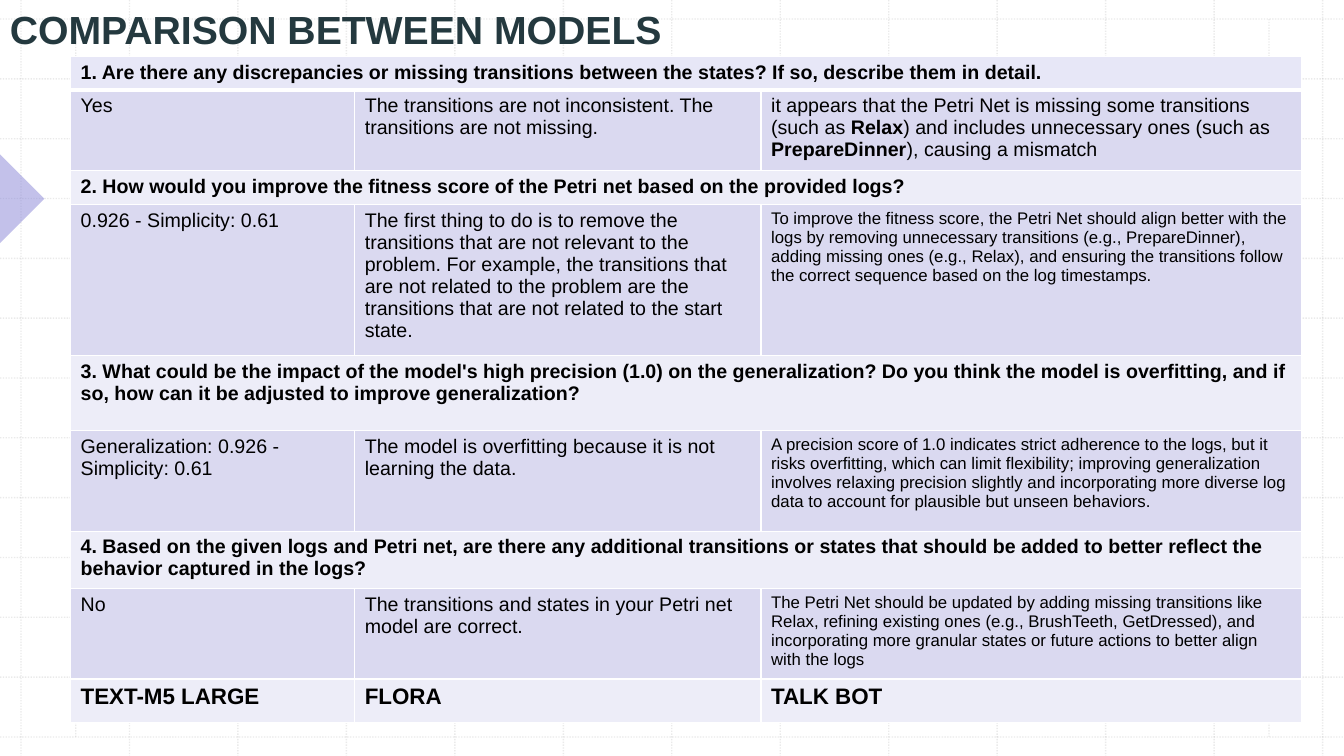
from lxml.etree import SubElement
from pptx import Presentation
from pptx.dml.color import RGBColor
from pptx.enum.dml import MSO_LINE_DASH_STYLE as DASH
from pptx.enum.shapes import MSO_CONNECTOR, MSO_SHAPE
from pptx.enum.text import MSO_ANCHOR
from pptx.oxml import parse_xml
from pptx.oxml.ns import nsdecls, qn
from pptx.util import Cm, Pt

COLORS = {
    "grid": "BCBCBC", "marker": "8885D7", "title": "24393F", "text": "000000",
    "border": "FFFFFF", "first": "E7E7F7", "question": "EDEDF8", "answer": "DAD9F0",
}
FONT = "Arial"
WIDTH, HEIGHT = 33.87, 19.05
GRID_LEFT, GRID_RIGHT, GRID_TOP, GRID_BOTTOM = 0.53, 33.33, 0.48, 18.57
GRID_STEPS = 12
MARGIN_LINES = (1.91, 31.98)

COLUMN_WIDTHS = (7.16, 10.24, 13.61)
# Row height, fill, text size per column, cell texts with *bold* parts
ROWS = [
    (0.79, "first", (14,), [
        "*1. Are there any discrepancies or missing transitions between the states? If so, describe them in detail.*"]),
    (2.03, "answer", (14, 14, 14), [
        "Yes",
        "The transitions are not inconsistent. The transitions are not missing.",
        "it appears that the Petri Net is missing some transitions (such as *Relax*) and includes "
        "unnecessary ones (such as *PrepareDinner*), causing a mismatch"]),
    (0.79, "question", (14,), [
        "*2. How would you improve the fitness score of the Petri net based on the provided logs?*"]),
    (3.53, "answer", (14, 14, 12), [
        "0.926 - Simplicity: 0.61",
        "The first thing to do is to remove the transitions that are not relevant to the problem. "
        "For example, the transitions that are not related to the problem are the transitions that "
        "are not related to the start state.",
        "To improve the fitness score, the Petri Net should align better with the logs by removing "
        "unnecessary transitions (e.g., PrepareDinner), adding missing ones (e.g., Relax), and "
        "ensuring the transitions follow the correct sequence based on the log timestamps."]),
    (1.88, "question", (14,), [
        "*3. What could be the impact of the model's high precision (1.0) on the generalization? "
        "Do you think the model is overfitting, and if so, how can it be adjusted to improve generalization?*"]),
    (2.54, "answer", (14, 14, 12), [
        "Generalization: 0.926 - Simplicity: 0.61",
        "The model is overfitting because it is not learning the data.",
        "A precision score of 1.0 indicates strict adherence to the logs, but it risks overfitting, "
        "which can limit flexibility; improving generalization involves relaxing precision slightly "
        "and incorporating more diverse log data to account for plausible but unseen behaviors."]),
    (1.35, "question", (14,), [
        "*4. Based on the given logs and Petri net, are there any additional transitions or states "
        "that should be added to better reflect the behavior captured in the logs?*"]),
    (2.16, "answer", (14, 14, 12), [
        "No",
        "The transitions and states in your Petri net model are correct.",
        "The Petri Net should be updated by adding missing transitions like Relax, refining existing "
        "ones (e.g., BrushTeeth, GetDressed), and incorporating more granular states or future "
        "actions to better align with the logs"]),
    (1.09, "question", (16, 16, 16), ["*TEXT-M5 LARGE*", "*FLORA*", "*TALK BOT*"]),
]


def set_alpha(shape_properties, percent):
    """Make the first solid colour in the properties partly transparent."""
    color = next(shape_properties.iter(qn("a:srgbClr")))
    SubElement(color, qn("a:alpha")).set("val", str(percent * 1000))


def write_text(paragraph, text, size, color):
    """Fill the paragraph; parts between asterisks become bold."""
    for index, part in enumerate(text.split("*")):
        if part:
            run = paragraph.add_run()
            run.text = part
            font_format = {"name": FONT, "size": Pt(size), "bold": index % 2 == 1}
            for name, value in font_format.items():
                setattr(run.font, name, value)
            run.font.color.rgb = RGBColor.from_string(COLORS[color])


presentation = Presentation()
presentation.slide_width, presentation.slide_height = Cm(WIDTH), Cm(HEIGHT)
slide = presentation.slides.add_slide(presentation.slide_layouts[6])
shapes = slide.shapes

# Dotted grid
grid_lines = [(x, GRID_TOP, x, GRID_BOTTOM) for x in MARGIN_LINES]
for step in range(GRID_STEPS + 1):
    x = GRID_LEFT + step * (GRID_RIGHT - GRID_LEFT) / GRID_STEPS
    y = GRID_TOP + step * (GRID_BOTTOM - GRID_TOP) / GRID_STEPS
    grid_lines += [(x, 0, x, HEIGHT), (0, y, WIDTH, y)]
for ends in grid_lines:
    connector = shapes.add_connector(MSO_CONNECTOR.STRAIGHT, *map(Cm, ends))
    connector.line.color.rgb = RGBColor.from_string(COLORS["grid"])
    connector.line.width = Pt(1)
    connector.line.dash_style = DASH.ROUND_DOT
    properties = connector._element.spPr
    set_alpha(properties, 30)
    SubElement(properties, qn("a:effectLst"))

# Marker on the left edge
marker = shapes.add_shape(MSO_SHAPE.RIGHT_TRIANGLE, Cm(-0.79), Cm(4.22), Cm(1.58), Cm(1.58))
marker.rotation = 225
marker.shadow.inherit = False
marker.line.fill.background()
marker.fill.solid()
marker.fill.fore_color.rgb = RGBColor.from_string(COLORS["marker"])
set_alpha(marker._element.spPr, 50)

# Title
title = shapes.add_textbox(Cm(0), Cm(-0.41), Cm(20.4), Cm(1.85))
title.text_frame.word_wrap = True
title.text_frame.vertical_anchor = MSO_ANCHOR.BOTTOM
write_text(title.text_frame.paragraphs[0], "*COMPARISON BETWEEN MODELS*", 28, "title")

# Comparison table
table = shapes.add_table(
    len(ROWS), len(COLUMN_WIDTHS), Cm(1.78), Cm(1.42),
    Cm(sum(COLUMN_WIDTHS)), Cm(sum(row[0] for row in ROWS))).table
table.first_row = table.horz_banding = False
for column, width in zip(table.columns, COLUMN_WIDTHS):
    column.width = Cm(width)

for row_index, (height, fill, sizes, texts) in enumerate(ROWS):
    table.rows[row_index].height = Cm(height)
    cells = [table.cell(row_index, index) for index in range(len(COLUMN_WIDTHS))]
    if len(texts) == 1:
        cells[0].merge(cells[-1])
    for cell, size, text in zip(cells, sizes, texts):
        write_text(cell.text_frame.paragraphs[0], text, size, "text")
    border_widths = {"lnL": 1, "lnR": 1, "lnT": 3 if row_index == 1 else 1,
                     "lnB": 3 if row_index == 0 else 1}
    for cell in cells:
        cell.fill.solid()
        cell.fill.fore_color.rgb = RGBColor.from_string(COLORS[fill])
        cell_properties = cell._tc.get_or_add_tcPr()
        for position, (side, points) in enumerate(border_widths.items()):
            cell_properties.insert(position, parse_xml(
                f'<a:{side} {nsdecls("a")} w="{Pt(points)}"><a:solidFill>'
                f'<a:srgbClr val="{COLORS["border"]}"/></a:solidFill></a:{side}>'))

presentation.save("out.pptx")
